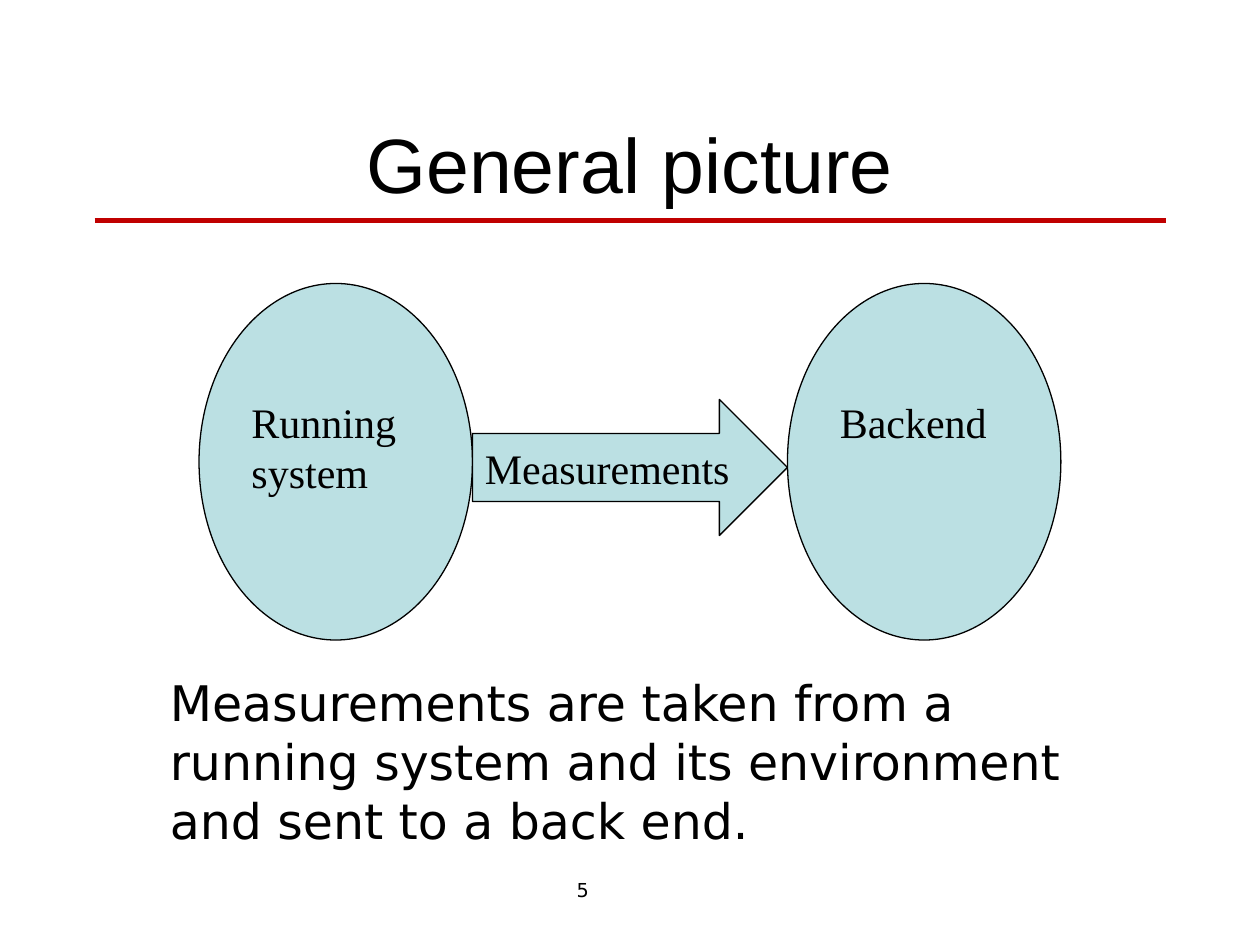
import pptx
import pptx.util
import pptx.dml.color
import pptx.enum.shapes
import pptx.enum.text
import pptx.oxml.ns
import lxml.etree

Inches = pptx.util.Inches
Shape = pptx.enum.shapes.MSO_SHAPE
Anchor = pptx.enum.text.MSO_ANCHOR
Align = pptx.enum.text.PP_ALIGN

WIDTH, HEIGHT = 10, 7.5
MARGIN = 0.75
RULE_TOP = 1.75
NODE_WIDTH, NODE_HEIGHT = 2.17, 2.83
NODE_LEFT, NODE_TOP = 1.58, 2.25
ARROW_WIDTH, ARROW_HEIGHT = 2.5, 1.08
ARROW_TOP = 3.17

TITLE = "General picture"
NODES = ["Running system", "Backend"]
FLOW = "Measurements"
SUMMARY = "Measurements are taken from a running system and its environment and sent to a back end."
PAGE = "5"

TITLE_FONT = {"name": "Arial", "size": pptx.util.Pt(44)}
DIAGRAM_FONT = {"name": "Times New Roman", "size": pptx.util.Pt(24)}
SUMMARY_FONT = {"name": "DejaVu Sans", "size": pptx.util.Pt(28)}
PAGE_FONT = {"name": "DejaVu Sans", "size": pptx.util.Pt(11)}


def color(value):
    return pptx.dml.color.RGBColor.from_string(value)


def write(shape, text, font, align=Align.LEFT, **frame_format):
    frame = shape.text_frame
    for name, value in {"word_wrap": True, "vertical_anchor": Anchor.TOP, **frame_format}.items():
        setattr(frame, name, value)
    paragraph = frame.paragraphs[0]
    paragraph.alignment = align
    run = paragraph.add_run()
    run.text = text
    for name, value in font.items():
        setattr(run.font, name, value)
    run.font.color.rgb = color("000000")


def add_block(slide, kind, box, text, **frame_format):
    shape = slide.shapes.add_shape(kind, *map(Inches, box))
    shape.shadow.inherit = False
    shape.fill.solid()
    shape.fill.fore_color.rgb = color("BBE0E3")
    shape.line.color.rgb = color("000000")
    shape.line.width = pptx.util.Pt(0.75)
    write(shape, text, DIAGRAM_FONT, **frame_format)


def add_text(slide, box, text, font, **text_format):
    write(slide.shapes.add_textbox(*map(Inches, box)), text, font, **text_format)


def add_rule(slide):
    ends = map(Inches, (MARGIN, RULE_TOP, WIDTH - MARGIN, RULE_TOP))
    rule = slide.shapes.add_connector(pptx.enum.shapes.MSO_CONNECTOR.STRAIGHT, *ends)
    rule.line.color.rgb = color("C00000")
    rule.line.width = pptx.util.Pt(3)
    lxml.etree.SubElement(rule.element.spPr, pptx.oxml.ns.qn("a:effectLst"))


def main():
    presentation = pptx.Presentation()
    presentation.slide_width, presentation.slide_height = Inches(WIDTH), Inches(HEIGHT)
    slide = presentation.slides.add_slide(presentation.slide_layouts[5])

    add_rule(slide)
    add_text(slide, (4, 6.92, 1.25, 0.29), PAGE, PAGE_FONT, align=Align.CENTER)

    title = slide.shapes.title
    title_box = dict(left=MARGIN, top=0.67, width=WIDTH - 2 * MARGIN, height=1.25)
    for name, value in title_box.items():
        setattr(title, name, Inches(value))
    write(title, TITLE, TITLE_FONT, align=Align.CENTER, vertical_anchor=Anchor.MIDDLE)

    for index, text in enumerate(NODES):
        left = NODE_LEFT + index * (NODE_WIDTH + ARROW_WIDTH)
        box = (left, NODE_TOP, NODE_WIDTH, NODE_HEIGHT)
        add_block(slide, Shape.OVAL, box, text, margin_top=Inches(0.48))

    arrow_box = (NODE_LEFT + NODE_WIDTH, ARROW_TOP, ARROW_WIDTH, ARROW_HEIGHT)
    add_block(slide, Shape.RIGHT_ARROW, arrow_box, FLOW, vertical_anchor=Anchor.MIDDLE)

    add_text(slide, (1.25, 5.29, 7.92, 1.51), SUMMARY, SUMMARY_FONT)
    presentation.save("out.pptx")


if __name__ == "__main__":
    main()
